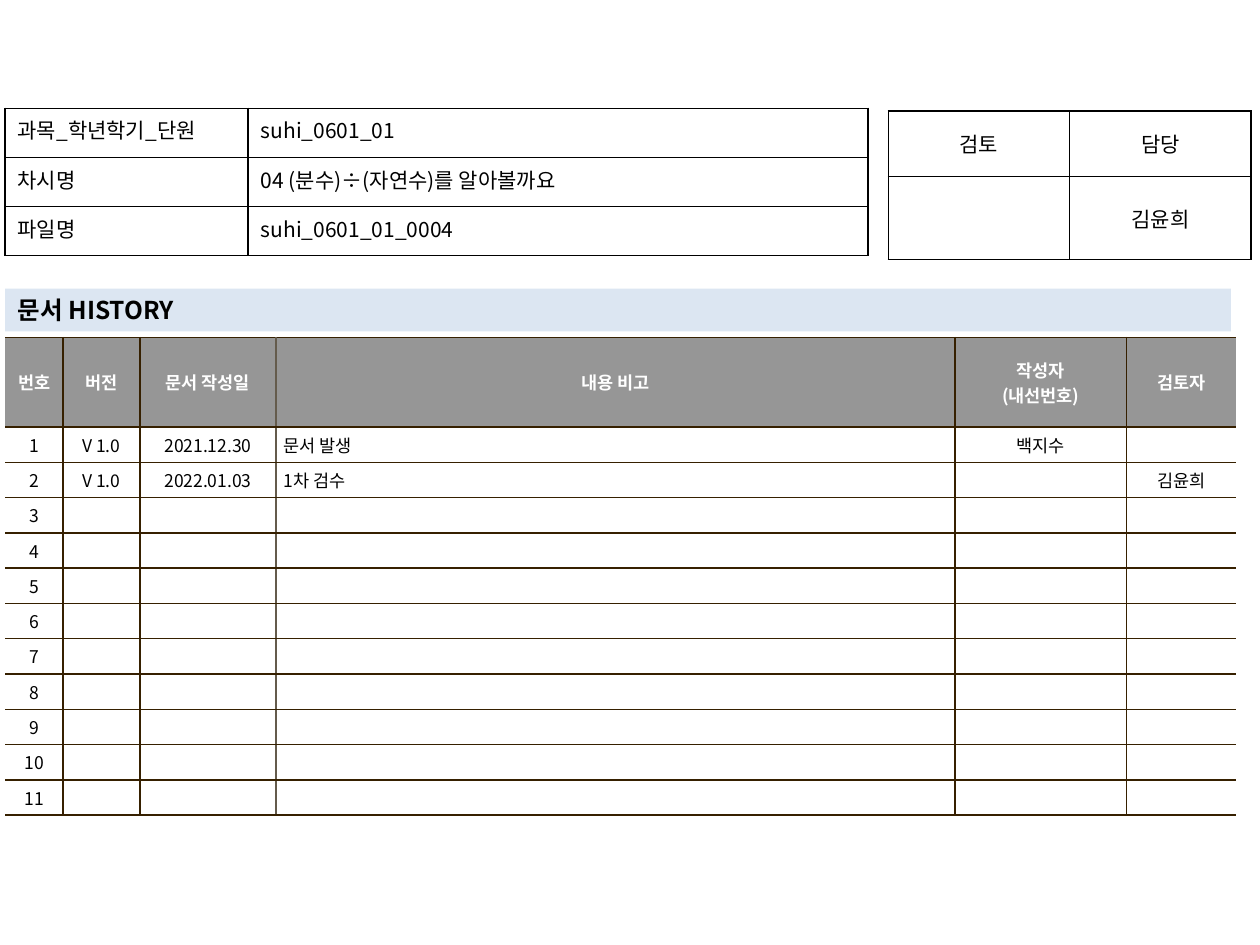
from dataclasses import dataclass

from lxml.etree import SubElement
from pptx import Presentation
from pptx.dml.color import RGBColor
from pptx.enum.text import MSO_ANCHOR, MSO_AUTO_SIZE, PP_ALIGN
from pptx.oxml.ns import qn
from pptx.util import Inches, Pt

FONT_NAME = "Noto Sans CJK KR"
BLACK = RGBColor(0x00, 0x00, 0x00)
WHITE = RGBColor(0xFF, 0xFF, 0xFF)
GRAY = RGBColor(0x96, 0x96, 0x96)
PALE_BLUE = RGBColor(0xDC, 0xE6, 0xF2)
BROWN = RGBColor(0x36, 0x20, 0x00)
LIGHT_BROWN = RGBColor(0x64, 0x5B, 0x4C)

LEFT, CENTER, JUSTIFY = PP_ALIGN.LEFT, PP_ALIGN.CENTER, PP_ALIGN.JUSTIFY
DATE_COLUMN, NOTE_COLUMN = 2, 3


@dataclass(frozen=True)
class CellStyle:
    size: int
    anchor: MSO_ANCHOR
    margins: tuple[float, float]
    color: RGBColor = BLACK
    bold: bool = False
    fill: RGBColor | None = None


@dataclass(frozen=True)
class TableBlock:
    left: float
    top: float
    columns: list[float]
    rows: list[float]
    texts: list[list[str]]
    alignments: list[PP_ALIGN]
    style: CellStyle
    header: CellStyle | None = None
    border: RGBColor = BLACK
    note_border: RGBColor | None = None
    open_sides: bool = False

    def side_colors(self, column: int) -> dict[str, RGBColor | None]:
        """Border colour of each side of a cell; None leaves the side open."""
        colors = dict.fromkeys("LRTB", self.border)
        if self.open_sides and column == 0:
            colors["L"] = None
        if self.open_sides and column == len(self.columns) - 1:
            colors["R"] = None
        if self.note_border and column == DATE_COLUMN:
            colors["R"] = self.note_border
        if self.note_border and column == NOTE_COLUMN:
            colors["L"] = self.note_border
        return colors


def format_text(text_frame, size: int, color: RGBColor, bold: bool, alignment: PP_ALIGN) -> None:
    for paragraph in text_frame.paragraphs:
        paragraph.alignment = alignment
        for run in paragraph.runs:
            run.font.color.rgb = color
            for name, value in {"name": FONT_NAME, "size": Pt(size), "bold": bold}.items():
                setattr(run.font, name, value)
            SubElement(run.font._element, qn("a:ea"), typeface=FONT_NAME)
        if not paragraph.runs:
            # An empty cell keeps the row height of its text size.
            ending = SubElement(paragraph._p, qn("a:endParaRPr"), sz=str(size * 100))
            for tag in ("a:latin", "a:ea"):
                SubElement(ending, qn(tag), typeface=FONT_NAME)


def draw_borders(cell, colors: dict[str, RGBColor | None]) -> None:
    properties = cell._tc.get_or_add_tcPr()
    for side, color in colors.items():
        line = SubElement(properties, qn(f"a:ln{side}"), w=str(Pt(1)))
        if color is None:
            SubElement(line, qn("a:noFill"))
        else:
            SubElement(SubElement(line, qn("a:solidFill")), qn("a:srgbClr"), val=str(color))


def format_cell(cell, text: str, style: CellStyle, alignment: PP_ALIGN,
                borders: dict[str, RGBColor | None]) -> None:
    draw_borders(cell, borders)
    if style.fill is None:
        cell.fill.background()
    else:
        cell.fill.solid()
        cell.fill.fore_color.rgb = style.fill
    horizontal, vertical = map(Inches, style.margins)
    cell_format = {
        "vertical_anchor": style.anchor,
        "margin_left": horizontal, "margin_right": horizontal,
        "margin_top": vertical, "margin_bottom": vertical,
    }
    for name, value in cell_format.items():
        setattr(cell, name, value)
    cell.text_frame.text = text
    format_text(cell.text_frame, style.size, style.color, style.bold, alignment)


def draw_table(slide, block: TableBlock) -> None:
    table = slide.shapes.add_table(
        len(block.rows), len(block.columns), Inches(block.left), Inches(block.top),
        Inches(sum(block.columns)), Inches(sum(block.rows))).table
    table.first_row = table.horz_banding = False
    for column, width in zip(table.columns, block.columns):
        column.width = Inches(width)
    for row, height in zip(table.rows, block.rows):
        row.height = Inches(height)
    for row_index, texts in enumerate(block.texts):
        is_header = row_index == 0 and block.header is not None
        for column_index, text in enumerate(texts):
            format_cell(
                table.cell(row_index, column_index), text,
                block.header if is_header else block.style,
                CENTER if is_header else block.alignments[column_index],
                block.side_colors(column_index))


def draw_heading(slide, text: str) -> None:
    heading = slide.shapes.title
    box = {"left": 0.04, "top": 2.29, "width": 9.73, "height": 0.34}
    for name, value in box.items():
        setattr(heading, name, Inches(value))
    heading.fill.solid()
    heading.fill.fore_color.rgb = PALE_BLUE
    text_frame = heading.text_frame
    text_frame.text = text
    frame_format = {"word_wrap": True, "auto_size": MSO_AUTO_SIZE.NONE,
                    "vertical_anchor": MSO_ANCHOR.MIDDLE}
    for name, value in frame_format.items():
        setattr(text_frame, name, value)
    format_text(text_frame, 14, BLACK, True, LEFT)


HISTORY_ENTRIES = [
    ["V 1.0", "2021.12.30", "문서 발생", "백지수", ""],
    ["V 1.0", "2022.01.03", "1차 검수", "", "김윤희"],
] + [[""] * 5] * 9

HISTORY = TableBlock(
    left=0.04, top=2.68,
    columns=[0.46, 0.61, 1.08, 5.39, 1.36, 0.87],
    rows=[0.71, 0.25, 0.28, 0.25, 0.21] + [0.25] * 7,
    texts=[["번호", "버전", "문서 작성일", "내용 비고", "작성자\n(내선번호)", "검토자"]]
    + [[str(number), *entry] for number, entry in enumerate(HISTORY_ENTRIES, 1)],
    alignments=[CENTER, CENTER, CENTER, LEFT, CENTER, CENTER],
    style=CellStyle(10, MSO_ANCHOR.MIDDLE, (0.06, 0.04), fill=WHITE),
    header=CellStyle(10, MSO_ANCHOR.MIDDLE, (0.06, 0.04), WHITE, True, GRAY),
    border=BROWN, note_border=LIGHT_BROWN, open_sides=True)

APPROVAL = TableBlock(
    left=7.05, top=0.88, columns=[1.44, 1.44], rows=[0.52, 0.66],
    texts=[["검토", "담당"], ["", "김윤희"]],
    alignments=[CENTER, CENTER],
    style=CellStyle(12, MSO_ANCHOR.MIDDLE, (0.1, 0.05)))

DOCUMENT_INFO = TableBlock(
    left=0.04, top=0.86, columns=[1.93, 4.92], rows=[0.39] * 3,
    texts=[["과목_학년학기_단원", "suhi_0601_01"],
           ["차시명", "04 (분수)÷(자연수)를 알아볼까요"],
           ["파일명", "suhi_0601_01_0004"]],
    alignments=[JUSTIFY, LEFT],
    style=CellStyle(12, MSO_ANCHOR.TOP, (0.1, 0.05)))


def main() -> None:
    presentation = Presentation()
    presentation.slide_width, presentation.slide_height = Inches(10), Inches(7.5)
    slide = presentation.slides.add_slide(presentation.slide_layouts.get_by_name("Title Only"))
    draw_heading(slide, "문서 HISTORY")
    for block in (HISTORY, APPROVAL, DOCUMENT_INFO):
        draw_table(slide, block)
    presentation.save("out.pptx")


if __name__ == "__main__":
    main()
